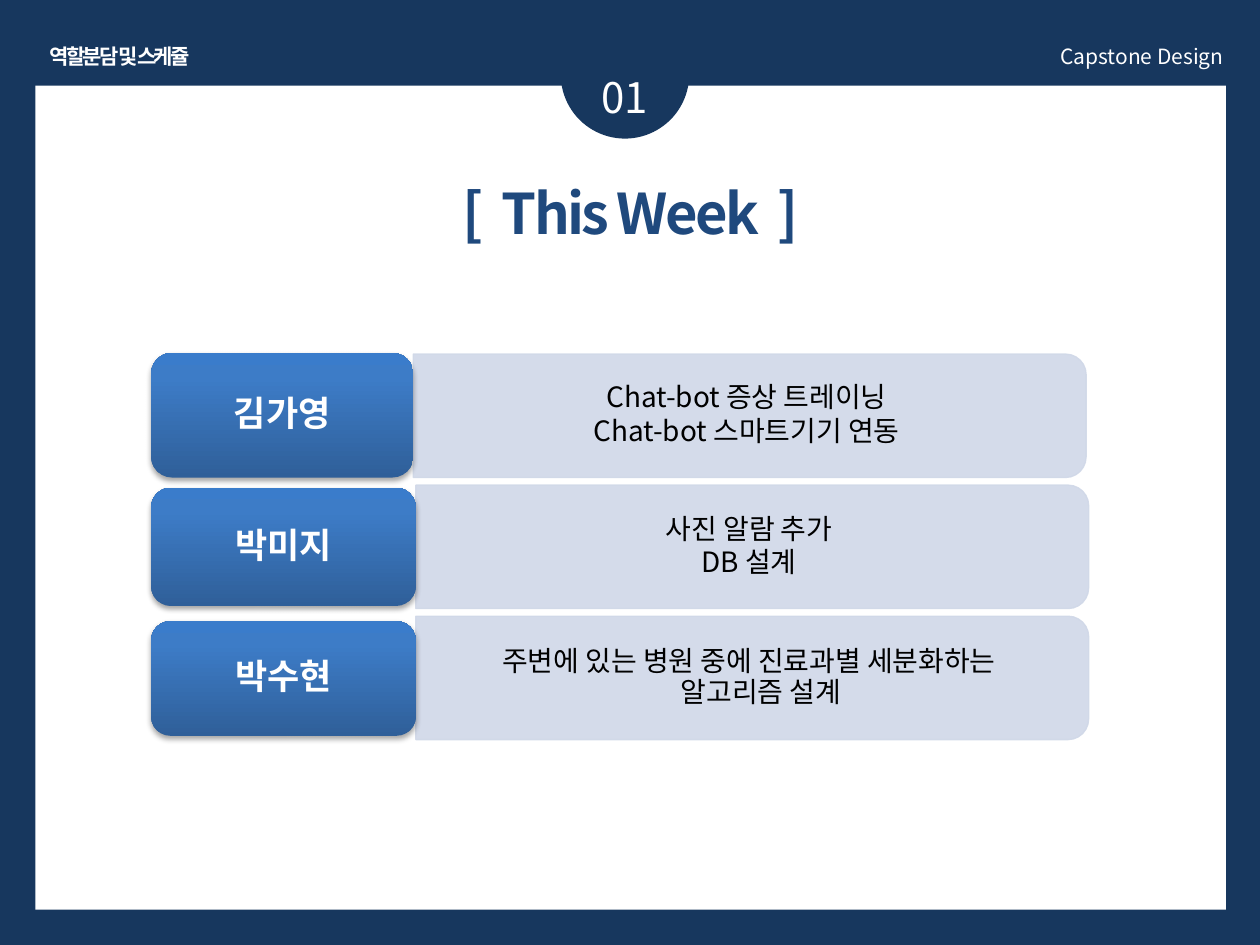
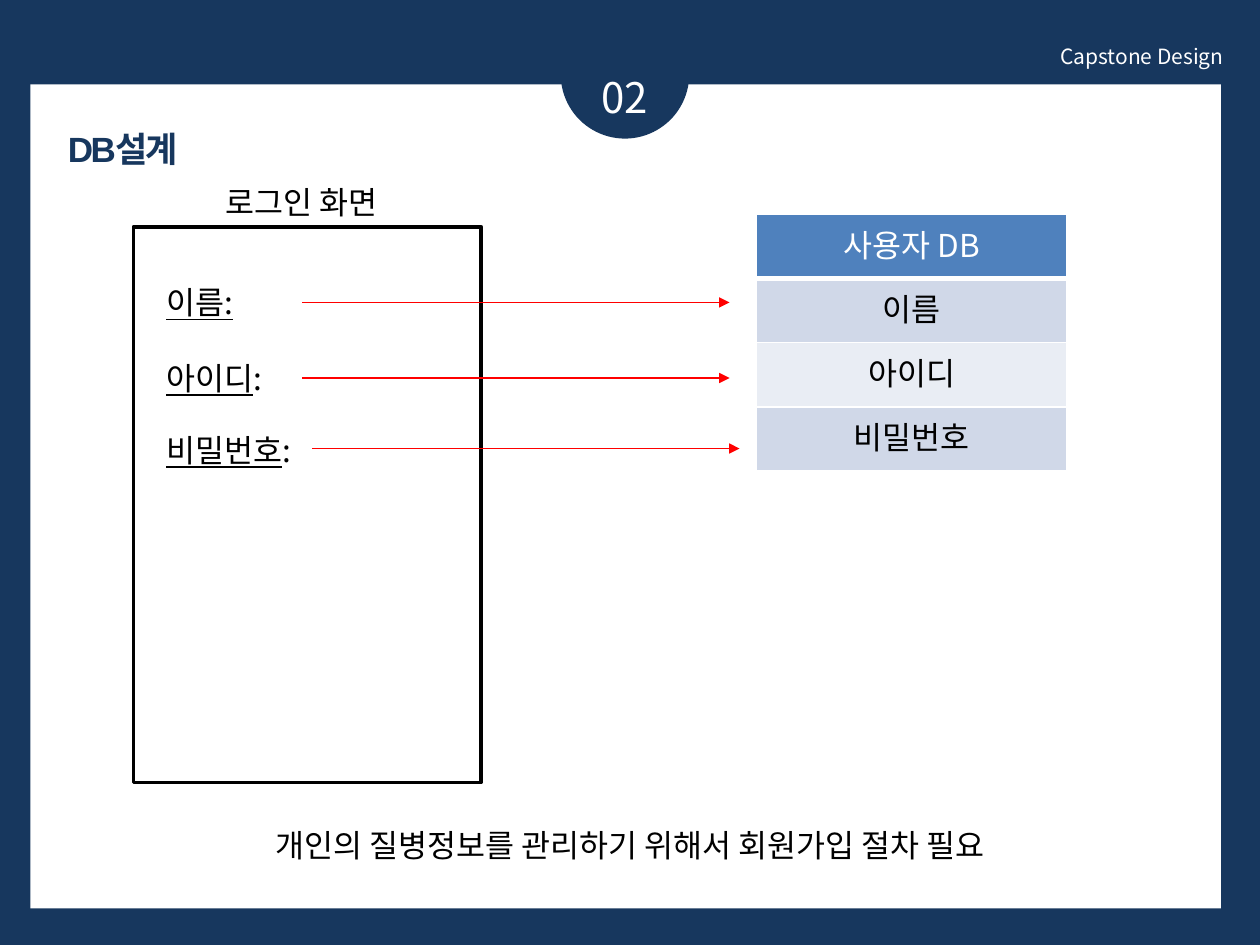
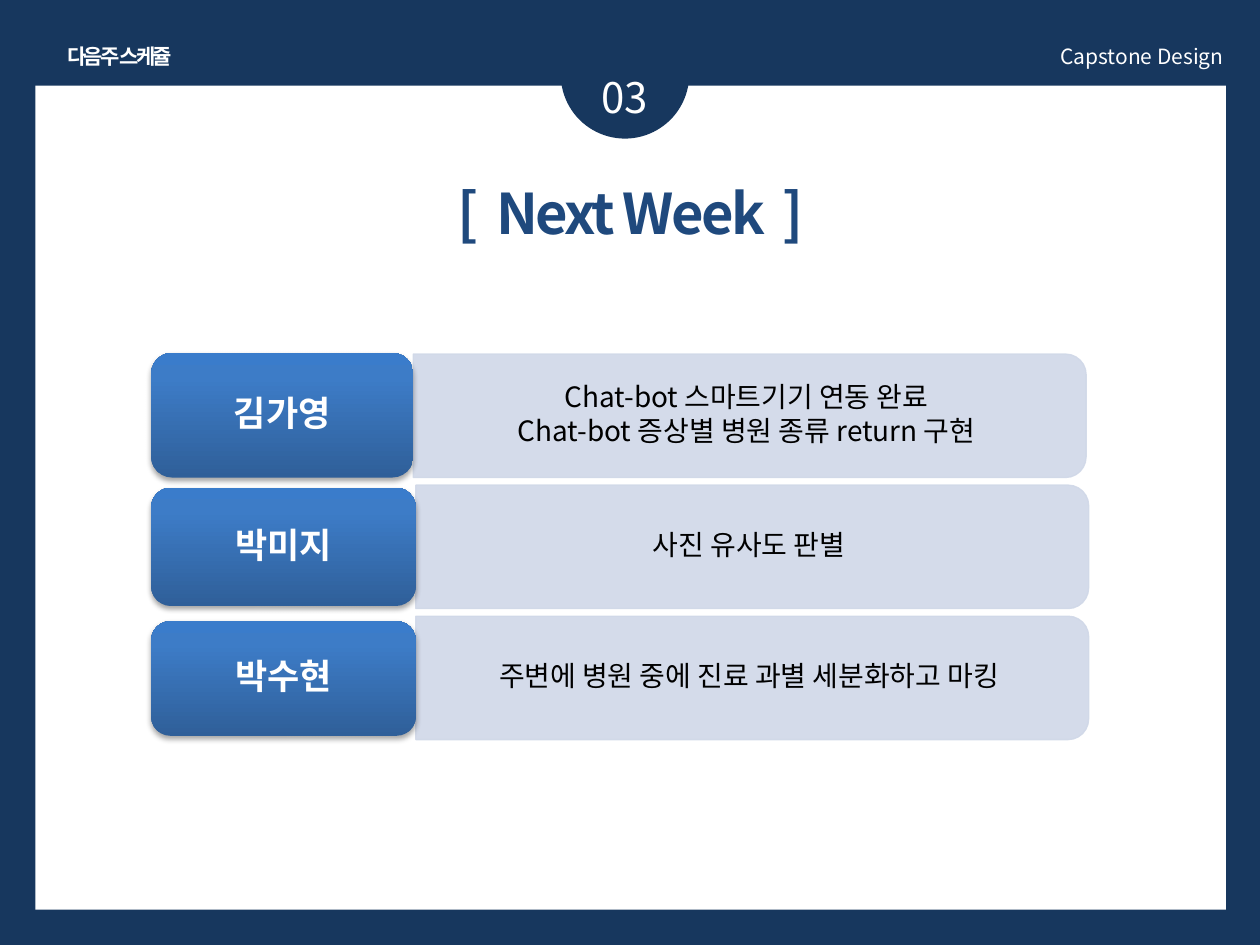
from lxml.etree import SubElement
from pptx import Presentation
from pptx.dml.color import RGBColor
from pptx.enum.shapes import MSO_CONNECTOR, MSO_SHAPE
from pptx.enum.text import MSO_ANCHOR, PP_ALIGN
from pptx.oxml import parse_xml
from pptx.oxml.ns import nsdecls, qn
from pptx.util import Pt

SCALE = 9144
FONT = "Noto Sans CJK KR"
COLORS = {
    name: RGBColor.from_string(value)
    for name, value in {
        "navy": "17375E",
        "title": "1F497D",
        "white": "FFFFFF",
        "black": "000000",
        "panel": "D0D8E8",
        "pale": "E9EDF4",
        "header": "4F81BD",
        "arrow": "FF0000",
    }.items()
}
GRADIENT = f"""<a:gradFill {nsdecls('a')} rotWithShape="1"><a:gsLst>
<a:gs pos="0"><a:srgbClr val="2F5F99"/></a:gs>
<a:gs pos="80000"><a:srgbClr val="3D7CC7"/></a:gs>
<a:gs pos="100000"><a:srgbClr val="3A7CCB"/></a:gs>
</a:gsLst><a:lin ang="16200000" scaled="0"/></a:gradFill>"""
SHADOW = f"""<a:outerShdw {nsdecls('a')} blurRad="40000" dist="23000" dir="5400000" rotWithShape="0">
<a:srgbClr val="000000"><a:alpha val="35000"/></a:srgbClr></a:outerShdw>"""


def format_paragraph(paragraph, size, color, bold=False, align=PP_ALIGN.LEFT, spacing=0, font=FONT):
    paragraph.alignment = align
    for run in paragraph.runs:
        run.font.size = Pt(size)
        run.font.bold = bold
        run.font.color.rgb = COLORS[color]
        run.font.name = font
        properties = run.font._element
        SubElement(properties, qn("a:ea")).set("typeface", FONT)
        if spacing:
            properties.set("spc", str(spacing))


def add_text(slide, bounds, text, size, color, wrap=True, **options):
    box = slide.shapes.add_textbox(*[value * SCALE for value in bounds])
    box.text_frame.word_wrap = wrap
    box.text_frame.text = text
    for paragraph in box.text_frame.paragraphs:
        format_paragraph(paragraph, size, color, **options)
    return box


presentation = Presentation()
presentation.slide_width = 1000 * SCALE
presentation.slide_height = 750 * SCALE

slides = []
for number, (page_left, page_top) in enumerate([(28, 68), (24, 67), (28, 68)], 1):
    slide = presentation.slides.add_slide(presentation.slide_layouts[6])
    slides.append(slide)
    slide.background.fill.solid()
    slide.background.fill.fore_color.rgb = COLORS["navy"]
    for preset, bounds, color in [
        (MSO_SHAPE.RECTANGLE, (page_left, page_top, 945, 654), "white"),
        (MSO_SHAPE.OVAL, (445, 8, 102, 102), "navy"),
    ]:
        shape = slide.shapes.add_shape(preset, *[value * SCALE for value in bounds])
        shape.shadow.inherit = False
        shape.fill.solid()
        shape.fill.fore_color.rgb = COLORS[color]
        shape.line.fill.background()
    add_text(slide, (437, 52, 118, 50), f"{number:02}", 24, "white", align=PP_ALIGN.CENTER)
    add_text(slide, (587, 30, 394, 30), "Capstone Design", 12, "white", align=PP_ALIGN.RIGHT)

this_week, database, next_week = slides

ROWS = [
    ("김가영", 280, 208, 99, 281),
    ("박미지", 387, 210, 94, 385),
    ("박수현", 493, 210, 91, 489),
]
WEEKS = [
    (this_week, "역할분담 및 스케쥴", (22, 30, 146, 30), "[  This Week  ]", [
        "Chat-bot 증상 트레이닝\nChat-bot 스마트기기 연동",
        "사진 알람 추가\nDB 설계",
        "주변에 있는 병원 중에 진료과별 세분화하는 알고리즘 설계",
    ]),
    (next_week, "다음주 스케쥴", (39, 30, 112, 30), "[  Next Week  ]", [
        "Chat-bot 스마트기기 연동 완료\nChat-bot 증상별 병원 종류 return 구현",
        "사진 유사도 판별",
        "주변에 병원 중에 진료 과별 세분화하고 마킹",
    ]),
]
PANEL_WIDTH, PANEL_HEIGHT = 534, 98

for slide, section, section_bounds, title, tasks in WEEKS:
    add_text(slide, section_bounds, section, 12, "white", wrap=False,
             bold=True, align=PP_ALIGN.CENTER, spacing=-150)
    add_text(slide, (272, 137, 457, 64), title, 32, "title",
             bold=True, align=PP_ALIGN.CENTER, spacing=-150)
    for (member, name_top, name_width, name_height, panel_top), task in zip(ROWS, tasks):
        panel_left = 120 + name_width
        turn = (PANEL_WIDTH - PANEL_HEIGHT) // 2
        panel = slide.shapes.add_shape(
            MSO_SHAPE.ROUND_2_SAME_RECTANGLE,
            (panel_left + turn) * SCALE, (panel_top - turn) * SCALE,
            PANEL_HEIGHT * SCALE, PANEL_WIDTH * SCALE)
        panel.rotation = 90
        panel.shadow.inherit = False
        panel.fill.solid()
        panel.fill.fore_color.rgb = COLORS["panel"]
        panel.line.color.rgb = COLORS["panel"]
        panel.line.width = Pt(0.75)
        for color in panel._element.spPr.iter(qn("a:srgbClr")):
            SubElement(color, qn("a:alpha")).set("val", "90000")

        task_box = add_text(slide, (panel_left, panel_top + 5, 529, 88), task, 16, "black",
                            align=PP_ALIGN.CENTER)
        frame = task_box.text_frame
        frame.vertical_anchor = MSO_ANCHOR.MIDDLE
        frame.margin_left = frame.margin_right = 27 * SCALE
        frame.margin_top = frame.margin_bottom = 14 * SCALE
        for paragraph in frame.paragraphs:
            paragraph.level = 1
            paragraph.line_spacing = 0.9
            paragraph.space_after = Pt(2)
            properties = paragraph._p.get_or_add_pPr()
            properties.set("marL", str(19 * SCALE))
            properties.set("indent", str(-19 * SCALE))

        name = slide.shapes.add_shape(
            MSO_SHAPE.ROUNDED_RECTANGLE,
            120 * SCALE, name_top * SCALE, name_width * SCALE, name_height * SCALE)
        name._element.spPr.append(parse_xml(GRADIENT))
        name.line.fill.background()
        name.shadow.inherit = False
        name._element.spPr.find(qn("a:effectLst")).append(parse_xml(SHADOW))
        name.text_frame.text = member
        name.text_frame.vertical_anchor = MSO_ANCHOR.MIDDLE
        paragraph = name.text_frame.paragraphs[0]
        paragraph.line_spacing = 0.9
        format_paragraph(paragraph, 20, "white", bold=True, align=PP_ALIGN.CENTER)

add_text(database, (44, 96, 322, 44), "DB설계", 20, "navy", bold=True, spacing=-150, font="Arial")

table = database.shapes.add_table(4, 1, 600 * SCALE, 170 * SCALE, 247 * SCALE, 204 * SCALE).table
fields = [("사용자 DB", "header", "white"), ("이름", "panel", "black"),
          ("아이디", "pale", "black"), ("비밀번호", "panel", "black")]
for row, (label, fill, color) in enumerate(fields):
    cell = table.cell(row, 0)
    cell.text_frame.text = label
    format_paragraph(cell.text_frame.paragraphs[0], 18, color, align=PP_ALIGN.CENTER)
    properties = cell._tc.get_or_add_tcPr()
    for side in ("L", "R", "T", "B"):
        thick = (row, side) in [(0, "B"), (1, "T")]
        border = SubElement(properties, qn(f"a:ln{side}"), w=str(Pt(3 if thick else 1)))
        SubElement(SubElement(border, qn("a:solidFill")), qn("a:srgbClr"), val=str(COLORS["white"]))
    cell.fill.solid()
    cell.fill.fore_color.rgb = COLORS[fill]

screen = database.shapes.add_shape(
    MSO_SHAPE.RECTANGLE, 106 * SCALE, 180 * SCALE, 276 * SCALE, 441 * SCALE)
screen.shadow.inherit = False
screen.fill.solid()
screen.fill.fore_color.rgb = COLORS["white"]
screen.line.color.rgb = COLORS["black"]
screen.line.width = Pt(2)
add_text(database, (169, 140, 197, 40), "로그인 화면", 18, "black")

for label, ending, underlined, top, start, arrow_top in [
    ("이름", ":\t", True, 220, 240, 240),
    ("아이디", ":", False, 280, 240, 300),
    ("비밀번호", ":", False, 337, 248, 356),
]:
    box = add_text(database, (122, top, 228, 40), "", 18, "black")
    paragraph = box.text_frame.paragraphs[0]
    if underlined:
        tabs = SubElement(paragraph._p.get_or_add_pPr(), qn("a:tabLst"))
        SubElement(tabs, qn("a:tab"), pos=str(165 * SCALE), algn="l")
    for text, underline in [(label, True), (ending, underlined)]:
        run = paragraph.add_run()
        run.text = text
        run.font.underline = underline
    format_paragraph(paragraph, 18, "black")

    arrow = database.shapes.add_connector(
        MSO_CONNECTOR.STRAIGHT, start * SCALE, arrow_top * SCALE,
        (start + 339) * SCALE, arrow_top * SCALE)
    arrow.line.color.rgb = COLORS["arrow"]
    arrow.line.width = Pt(0.75)
    SubElement(arrow.line._get_or_add_ln(), qn("a:tailEnd"), type="triangle")
    SubElement(arrow._element.spPr, qn("a:effectLst"))

add_text(database, (209, 651, 654, 40), "개인의 질병정보를 관리하기 위해서 회원가입 절차 필요", 18, "black")

presentation.save("out.pptx")
